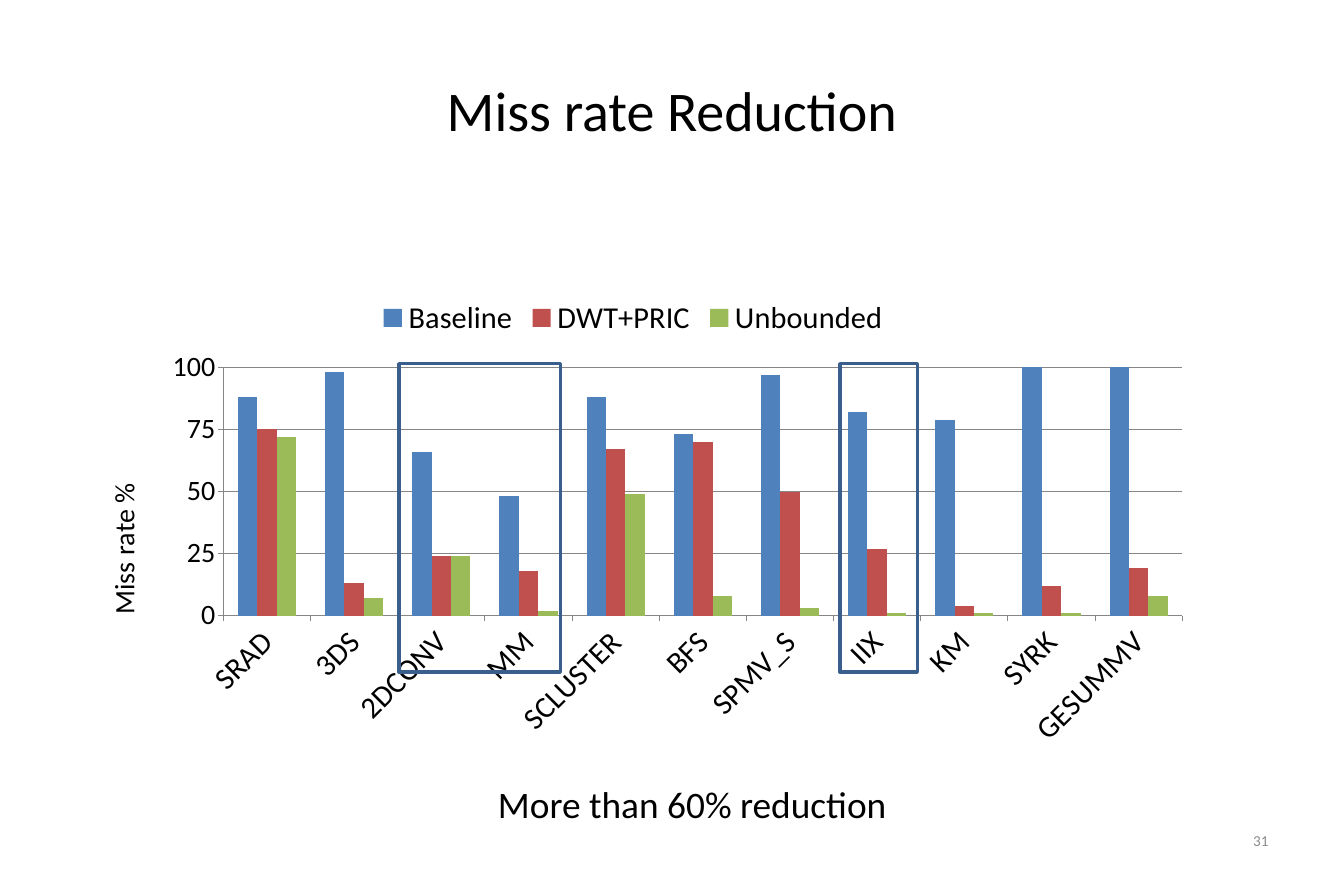
from lxml import etree
from pptx import Presentation
from pptx.chart.data import CategoryChartData
from pptx.dml.color import RGBColor
from pptx.enum.chart import XL_CHART_TYPE, XL_LEGEND_POSITION, XL_TICK_MARK
from pptx.enum.shapes import MSO_SHAPE
from pptx.enum.text import MSO_ANCHOR, PP_ALIGN
from pptx.oxml.ns import qn
from pptx.util import Inches, Pt

COLUMNS = XL_CHART_TYPE.COLUMN_CLUSTERED
TOP = XL_LEGEND_POSITION.TOP
OUTSIDE = XL_TICK_MARK.OUTSIDE
RECTANGLE = MSO_SHAPE.RECTANGLE
MIDDLE = MSO_ANCHOR.MIDDLE
LEFT, CENTER, RIGHT = PP_ALIGN.LEFT, PP_ALIGN.CENTER, PP_ALIGN.RIGHT

FONT = "Calibri"
BLACK = RGBColor(0x00, 0x00, 0x00)
GRAY = RGBColor(0x8C, 0x8C, 0x8C)
AXIS_GRAY = RGBColor(0x86, 0x86, 0x86)
FRAME_BLUE = RGBColor(0x3A, 0x5F, 0x8C)
BLUE = RGBColor(0x4F, 0x81, 0xBD)
RED = RGBColor(0xC0, 0x50, 0x4D)
GREEN = RGBColor(0x9B, 0xBB, 0x59)

CATEGORIES = ["SRAD", "3DS", "2DCONV", "MM", "SCLUSTER", "BFS", "SPMV_S",
              "IIX", "KM", "SYRK", "GESUMMV"]
SERIES = [
    ("Baseline", BLUE, [88, 98, 66, 48, 88, 73, 97, 82, 79, 100, 100]),
    ("DWT+PRIC", RED, [75, 13, 24, 18, 67, 70, 50, 27, 4, 12, 19]),
    ("Unbounded", GREEN, [72, 7, 24, 2, 49, 8, 3, 1, 1, 1, 8]),
]


def set_font(font, size, color=BLACK):
    font.name = FONT
    font.size = Pt(size)
    font.bold = False
    font.color.rgb = color


def add_text(slide, text, box, size, color, align):
    tf = slide.shapes.add_textbox(*[Inches(v) for v in box]).text_frame
    tf.word_wrap = True
    tf.vertical_anchor = MIDDLE
    p = tf.paragraphs[0]
    p.alignment = align
    r = p.add_run()
    r.text = text
    set_font(r.font, size, color)


prs = Presentation()
prs.slide_width = Inches(16)
prs.slide_height = Inches(10.5)
s = prs.slides.add_slide(prs.slide_layouts[6])

add_text(s, "Miss rate Reduction", (0.8, 0.42, 14.4, 1.75), 48, BLACK, CENTER)

# Miss rate chart
data = CategoryChartData()
data.categories = CATEGORIES
for name, color, values in SERIES:
    data.add_series(name, values)
chart = s.shapes.add_chart(COLUMNS, Inches(1), Inches(3.42), Inches(13.08),
                           Inches(5.75), data).chart
set_font(chart.font, 18)
chart.has_title = False
chart.has_legend = True
chart.legend.position = TOP
chart.legend.include_in_layout = False
set_font(chart.legend.font, 26)

plot = chart.plots[0]
plot.gap_width = 150
plot.overlap = 0
plot.vary_by_categories = False
for series, (name, color, values) in zip(plot.series, SERIES):
    series.format.fill.solid()
    series.format.fill.fore_color.rgb = color

cat_axis, val_axis = chart.category_axis, chart.value_axis
for axis, size in ((cat_axis, 26), (val_axis, 24)):
    axis.major_tick_mark = OUTSIDE
    axis.format.line.color.rgb = AXIS_GRAY
    set_font(axis.tick_labels.font, size)
label_body = cat_axis._element.find(qn("c:txPr")).find(qn("a:bodyPr"))
label_body.set("rot", "-2700000")
label_body.set("vert", "horz")

val_axis.minimum_scale = 0
val_axis.maximum_scale = 100
val_axis.major_unit = 25
val_axis.has_major_gridlines = True
val_axis.major_gridlines.format.line.color.rgb = AXIS_GRAY
tf = val_axis.axis_title.text_frame
r = tf.paragraphs[0].add_run()
r.text = "Miss rate %"
set_font(r.font, 24)
tf._txBody.bodyPr.set("rot", "-5400000")
tf._txBody.bodyPr.set("vert", "horz")

# Fixed inner plot area, as fractions of the chart
plot_area = chart._chartSpace.chart.plotArea
for old in plot_area.findall(qn("c:layout")):
    plot_area.remove(old)
layout = etree.Element(qn("c:layout"))
manual = etree.SubElement(layout, qn("c:manualLayout"))
for tag, value in (("layoutTarget", "inner"), ("xMode", "edge"),
                   ("yMode", "edge"), ("x", "0.127"), ("y", "0.166"),
                   ("w", "0.873"), ("h", "0.514")):
    etree.SubElement(manual, qn("c:" + tag)).set("val", value)
plot_area.insert(0, layout)

add_text(s, "31", (11.47, 9.73, 3.73, 0.56), 13, GRAY, RIGHT)

# Frames around the highlighted benchmarks
for left, width in ((4.75, 1.92), (10, 0.92)):
    sp = s.shapes.add_shape(RECTANGLE, Inches(left), Inches(4.33),
                            Inches(width), Inches(3.67))
    sp.shadow.inherit = False
    sp.fill.background()
    sp.line.color.rgb = FRAME_BLUE
    sp.line.width = Pt(3)

add_text(s, "More than 60% reduction", (5.83, 9.25, 5.75, 0.64), 32, BLACK, LEFT)

prs.save("out.pptx")
